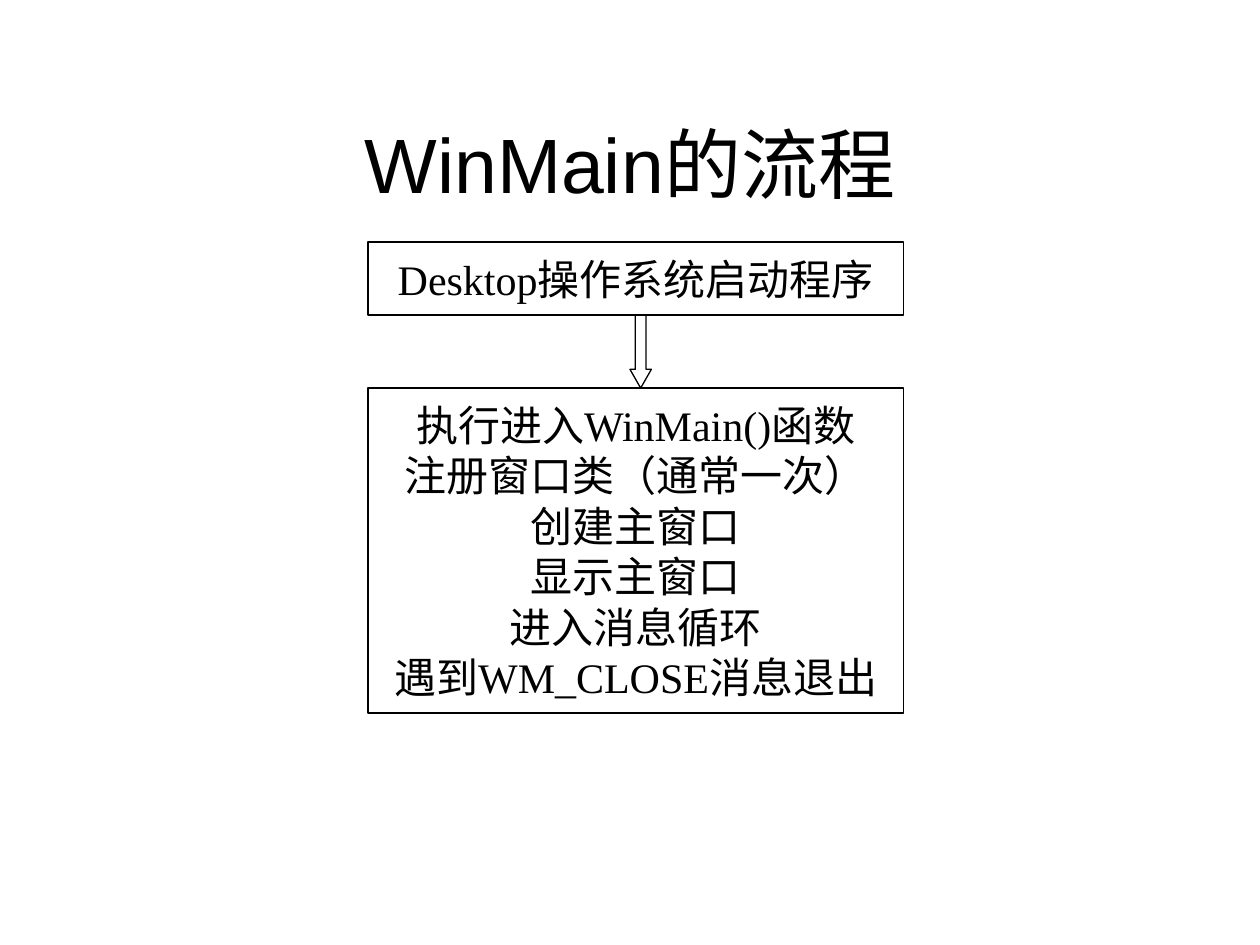
from pptx import Presentation
from pptx import util as u
from pptx.dml import color
from pptx.enum import shapes, text

COLORS = {"ink": "000000", "paper": "FFFFFF"}
KINDS = shapes.MSO_SHAPE


class FlowSlide:
    """Holds the style and the current slide."""

    title_font, body_font = "Arial", "Times New Roman"
    title_size, body_size, line_width = 44, 24, 0.75

    def __init__(self, deck):
        self.slide = deck.slides.add_slide(deck.slide_layouts[5])
        fill = self.slide.background.fill
        fill.solid()
        fill.fore_color.rgb = self.color("paper")

    def color(self, name):
        return color.RGBColor.from_string(COLORS[name])

    def set_text(self, shape, lines, font, size):
        frame = shape.text_frame
        frame.text = "\n".join(lines)
        frame.vertical_anchor = text.MSO_ANCHOR.MIDDLE
        for para in frame.paragraphs:
            para.alignment = text.PP_ALIGN.CENTER
            for span in para.runs:
                span.font.name = font
                span.font.size = u.Pt(size)
                span.font.color.rgb = self.color("ink")

    def title(self, words, left, top, width, height):
        title = self.slide.shapes.title
        title.left, title.top = u.Inches(left), u.Inches(top)
        title.width, title.height = u.Inches(width), u.Inches(height)
        self.set_text(title, [words], self.title_font, self.title_size)

    def outline(self, kind, left, top, width, height):
        shape = self.slide.shapes.add_shape(
            kind, *(u.Inches(length) for length in (left, top, width, height)))
        shape.shadow.inherit = False
        shape.fill.background()
        shape.line.color.rgb = self.color("ink")
        shape.line.width = u.Pt(self.line_width)
        return shape

    def box(self, kind, lines, left, top, width, height):
        box = self.outline(kind, left, top, width, height)
        self.set_text(box, lines, self.body_font, self.body_size)
        box.text_frame.word_wrap = False

    def arrow(self, left, top, width, height):
        arrow = self.outline(KINDS.DOWN_ARROW, left, top, width, height)
        arrow.adjustments[0] = 0.5
        arrow.adjustments[1] = 0.875


deck = Presentation()
deck.slide_width, deck.slide_height = u.Inches(10), u.Inches(7.5)
flow = FlowSlide(deck)

# Title
flow.title("WinMain的流程", 0.75, 0.67, 8.5, 1.25)

# Start box and program steps
left, width = 2.92, 4.25
flow.box(KINDS.RECTANGLE, ["Desktop操作系统启动程序"], left, 1.92, width, 0.58)
flow.box(KINDS.FLOWCHART_PROCESS, [
    "执行进入WinMain()函数",
    "注册窗口类（通常一次）",
    "创建主窗口",
    "显示主窗口",
    "进入消息循环",
    "遇到WM_CLOSE消息退出",
], left, 3.08, width, 2.58)

# Arrow between the boxes
flow.arrow(5, 2.5, 0.17, 0.58)

deck.save("out.pptx")
